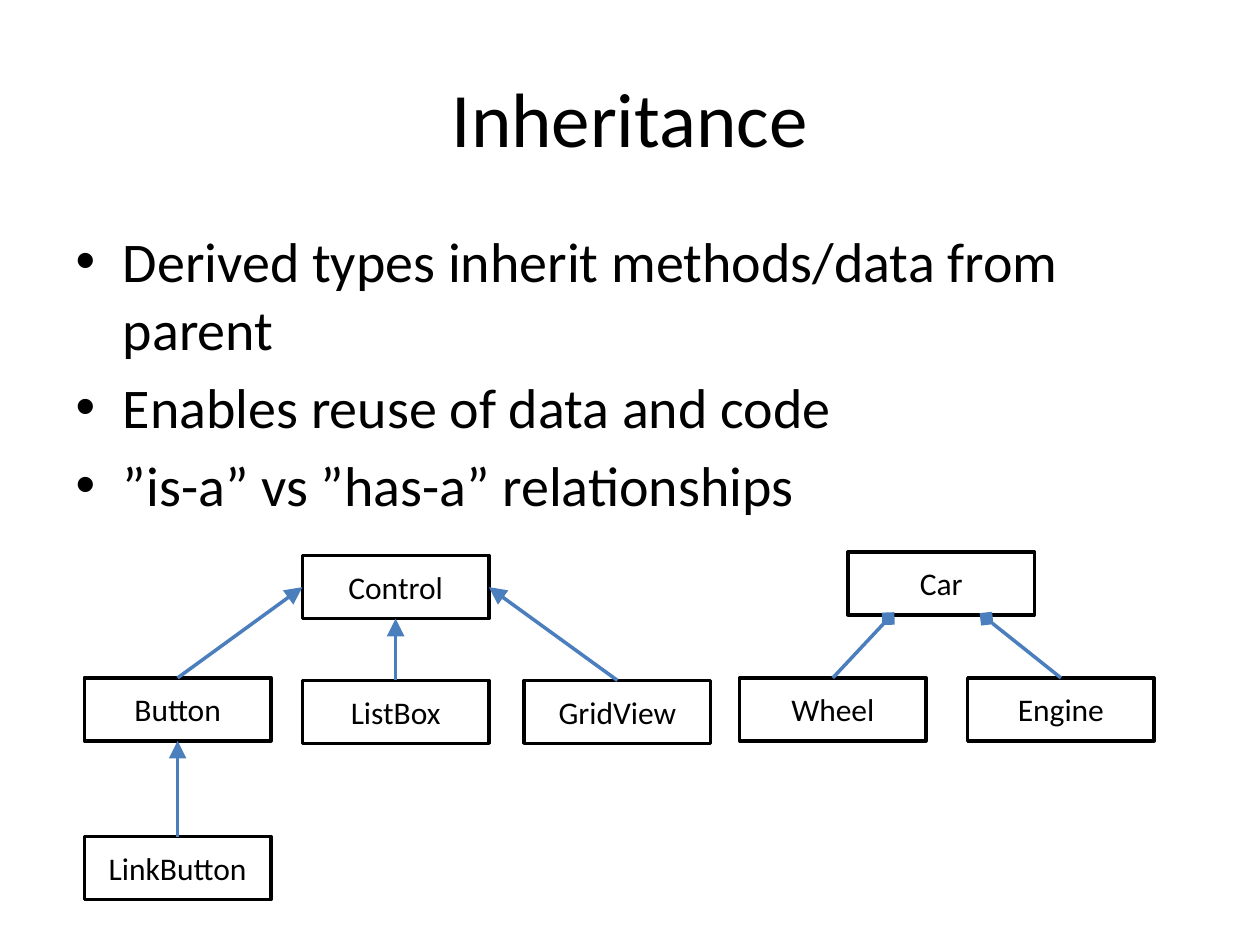
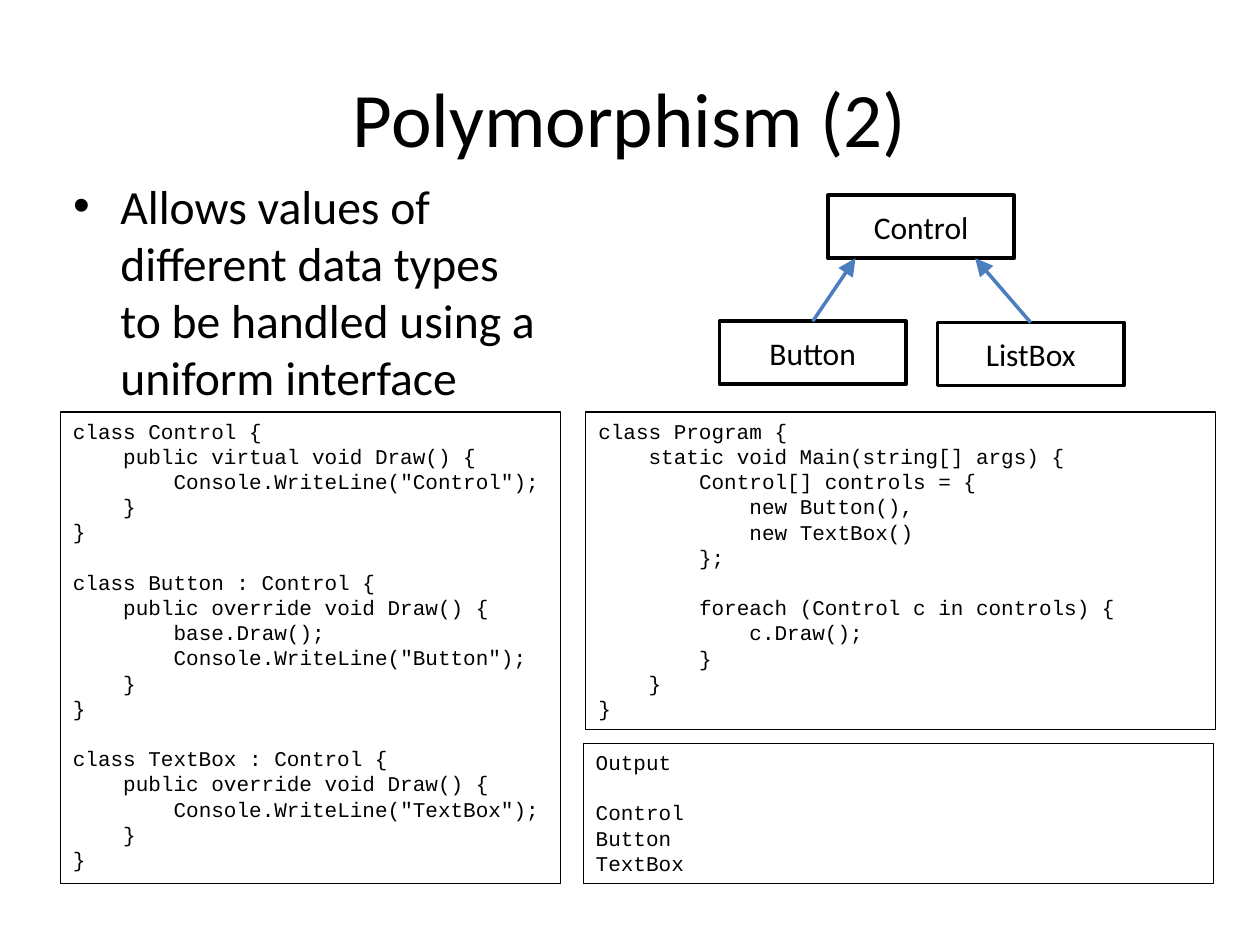
import pptx
import pptx.util
import pptx.dml.color
import pptx.enum.shapes
import pptx.enum.text
import pptx.oxml.ns
from dataclasses import dataclass
from lxml import etree

Inches = pptx.util.Inches
Pt = pptx.util.Pt
Align = pptx.enum.text.PP_ALIGN
Anchor = pptx.enum.text.MSO_ANCHOR


@dataclass(frozen=True)
class Theme:
    ink: str = "000000"
    paper: str = "FFFFFF"
    arrow: str = "4B7EBC"
    font: str = "Calibri"
    code_font: str = "Courier New"
    title_size: float = 44
    body_size: float = 32
    small_body_size: float = 27.2
    node_size: float = 18
    code_size: float = 12
    code_line: float = 14.4
    code_indent: float = 0.4
    node_line: float = 2
    frame_line: float = 0.75
    head_size: str = "lg"


THEME = Theme()
TITLE_AREA = (0.5, 0.3, 9, 1.25)
NODE_WIDTH, NODE_HEIGHT = 1.48, 0.5
LEFT_SIDE = (0, NODE_HEIGHT / 2)
RIGHT_SIDE = (NODE_WIDTH, NODE_HEIGHT / 2)
BOTTOM = (NODE_WIDTH / 2, NODE_HEIGHT)

CLASSES = """class Control {
    public virtual void Draw() {
        Console.WriteLine("Control");
    }
}

class Button : Control {
    public override void Draw() {
        base.Draw();
        Console.WriteLine("Button");
    }
}

class TextBox : Control {
    public override void Draw() {
        Console.WriteLine("TextBox");
    }
}"""

PROGRAM = """class Program {
    static void Main(string[] args) {
        Control[] controls = {
            new Button(),
            new TextBox()
        };

        foreach (Control c in controls) {
            c.Draw();
        }
    }
}"""

OUTPUT = """Output

Control
Button
TextBox"""

SLIDES = [
    {
        "title": "Inheritance",
        "bullets": [
            "Derived types inherit methods/data from parent",
            "Enables reuse of data and code",
            "”is-a” vs ”has-a” relationships",
        ],
        "body_area": (0.5, 1.75, 9, 2.63),
        "body_size": THEME.body_size,
        "nodes": {
            "Control": (2.4, 4.41),
            "Button": (0.67, 5.38),
            "ListBox": (2.4, 5.4),
            "GridView": (4.16, 5.4),
            "LinkButton": (0.67, 6.64),
            "Car": (6.73, 4.38),
            "Wheel": (5.87, 5.38),
            "Engine": (7.68, 5.38),
        },
        "arrows": [
            ("Button", "Control", LEFT_SIDE, "triangle"),
            ("ListBox", "Control", BOTTOM, "triangle"),
            ("GridView", "Control", RIGHT_SIDE, "triangle"),
            ("LinkButton", "Button", BOTTOM, "triangle"),
            ("Wheel", "Car", (0.32, 0.53), "diamond"),
            ("Engine", "Car", (1.1, 0.53), "diamond"),
        ],
        "listings": [],
    },
    {
        "title": "Polymorphism (2)",
        "bullets": [
            "Allows values of different data types to be handled using a uniform interface",
        ],
        "body_area": (0.48, 1.35, 3.97, 1.69),
        "body_size": THEME.small_body_size,
        "nodes": {
            "Control": (6.57, 1.55),
            "Button": (5.71, 2.55),
            "ListBox": (7.44, 2.56),
        },
        "arrows": [
            ("Button", "Control", (0.22, NODE_HEIGHT), "triangle"),
            ("ListBox", "Control", (1.17, NODE_HEIGHT), "triangle"),
        ],
        "listings": [
            (CLASSES, (0.48, 3.27, 3.97, 3.74)),
            (PROGRAM, (4.65, 3.27, 5, 2.52)),
            (OUTPUT, (4.63, 5.9, 5, 1.11)),
        ],
    },
]


def colour(code):
    return pptx.dml.color.RGBColor.from_string(code)


def write(para, text, *, size, font=THEME.font, align=None):
    span = para.add_run()
    span.text = text
    span.font.size = Pt(size)
    span.font.name = font
    span.font.color.rgb = colour(THEME.ink)
    if align is not None:
        para.alignment = align


def next_para(frame, index):
    return frame.add_paragraph() if index else frame.paragraphs[0]


def fill_placeholder(box, area, lines, *, size, anchor, align=None):
    box.left, box.top, box.width, box.height = map(Inches, area)
    frame = box.text_frame
    frame.auto_size = pptx.enum.text.MSO_AUTO_SIZE.NONE
    frame.vertical_anchor = anchor
    for index, line in enumerate(lines):
        write(next_para(frame, index), line, size=size, align=align)


def outline(line, *, code, width):
    line.color.rgb = colour(code)
    line.width = Pt(width)


def add_node(page, name, place):
    box = page.shapes.add_shape(
        pptx.enum.shapes.MSO_SHAPE.RECTANGLE,
        *map(Inches, (*place, NODE_WIDTH, NODE_HEIGHT)))
    box.shadow.inherit = False
    box.fill.solid()
    box.fill.fore_color.rgb = colour(THEME.paper)
    outline(box.line, code=THEME.ink, width=THEME.node_line)
    box.text_frame.vertical_anchor = Anchor.MIDDLE
    write(box.text_frame.paragraphs[0], name, size=THEME.node_size, align=Align.CENTER)


def add_arrow(page, child, parent, offset, head):
    start = (child[0] + NODE_WIDTH / 2, child[1])
    end = (parent[0] + offset[0], parent[1] + offset[1])
    arrow = page.shapes.add_connector(
        pptx.enum.shapes.MSO_CONNECTOR.STRAIGHT, *map(Inches, start + end))
    outline(arrow.line, code=THEME.arrow, width=THEME.node_line)
    qn = pptx.oxml.ns.qn
    etree.SubElement(arrow.line._get_or_add_ln(), qn("a:tailEnd"),
                     type=head, w=THEME.head_size, len=THEME.head_size)
    etree.SubElement(arrow._element.spPr, qn("a:effectLst"))


def add_listing(page, code, area):
    box = page.shapes.add_textbox(*map(Inches, area))
    outline(box.line, code=THEME.ink, width=THEME.frame_line)
    frame = box.text_frame
    frame.word_wrap = True
    after_gap = False
    for index, line in enumerate(code.splitlines()):
        if not line:
            after_gap = True
            continue
        text = line.lstrip()
        level = (len(line) - len(text)) // 4
        para = next_para(frame, index)
        para.line_spacing = Pt(THEME.code_line)
        para.space_before = Pt(THEME.code_line if after_gap else 0)
        para._p.get_or_add_pPr().set("marL", str(Inches(level * THEME.code_indent)))
        write(para, text, size=THEME.code_size, font=THEME.code_font, align=Align.LEFT)
        after_gap = False


def build_page(deck, content):
    page = deck.slides.add_slide(deck.slide_layouts[1])
    fill_placeholder(page.shapes.title, TITLE_AREA, [content["title"]],
                     size=THEME.title_size, anchor=Anchor.MIDDLE, align=Align.CENTER)
    fill_placeholder(page.placeholders[1], content["body_area"], content["bullets"],
                     size=content["body_size"], anchor=Anchor.TOP)
    nodes = content["nodes"]
    for name, place in nodes.items():
        add_node(page, name, place)
    for child, parent, offset, head in content["arrows"]:
        add_arrow(page, nodes[child], nodes[parent], offset, head)
    for code, area in content["listings"]:
        add_listing(page, code, area)


def main():
    deck = pptx.Presentation()
    deck.slide_width, deck.slide_height = Inches(10), Inches(7.5)
    for content in SLIDES:
        build_page(deck, content)
    deck.save("out.pptx")


if __name__ == "__main__":
    main()
